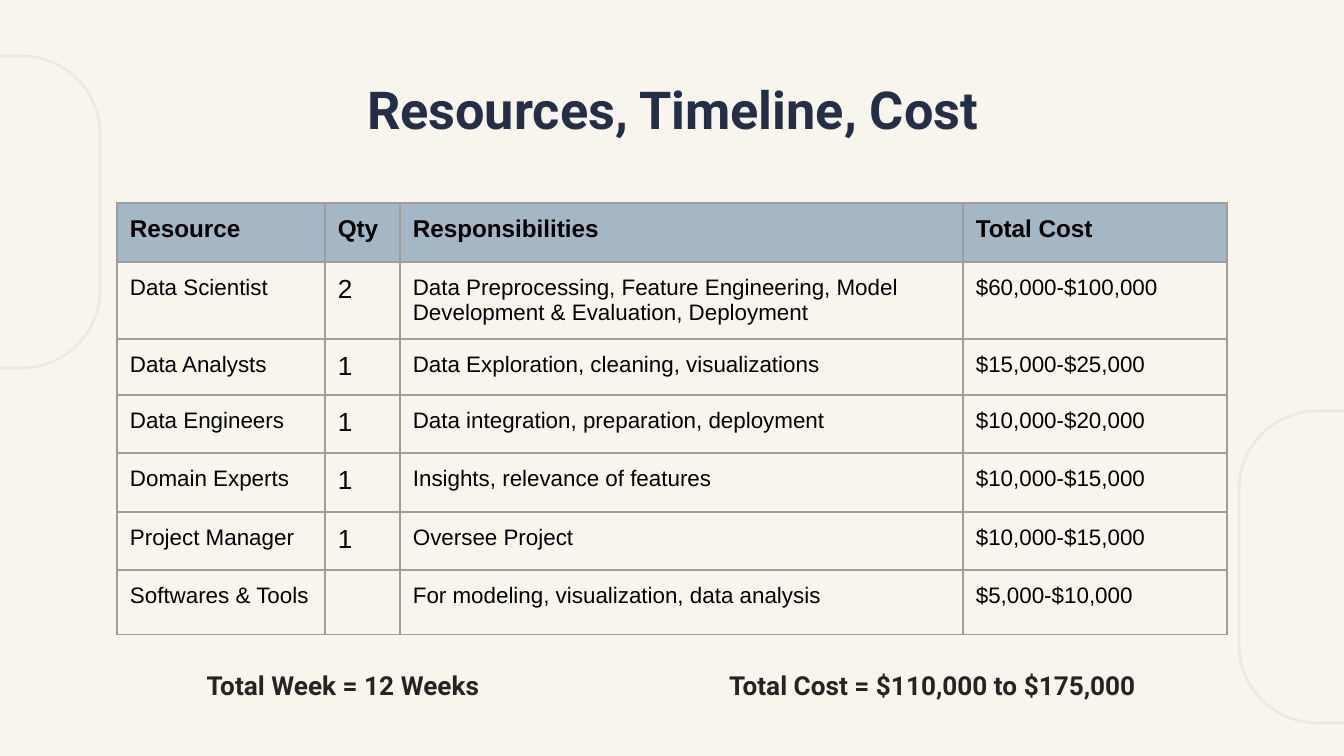
from lxml import etree
from pptx import Presentation
from pptx.dml.color import RGBColor
from pptx.enum.shapes import MSO_SHAPE
from pptx.enum.text import MSO_ANCHOR, MSO_AUTO_SIZE, PP_ALIGN
from pptx.oxml import parse_xml
from pptx.util import Pt

ROUND = MSO_SHAPE.ROUNDED_RECTANGLE
TOP, MIDDLE = MSO_ANCHOR.TOP, MSO_ANCHOR.MIDDLE
CENTER, NO_FIT = PP_ALIGN.CENTER, MSO_AUTO_SIZE.NONE
CREAM = RGBColor(0xF8, 0xF5, 0xEC)
SAND = RGBColor(0xEC, 0xE9, 0xE1)
NAVY = RGBColor(0x25, 0x2E, 0x47)
INK = RGBColor(0x24, 0x24, 0x24)
BLACK = RGBColor(0, 0, 0)
STEEL = RGBColor(0xA5, 0xB7, 0xC5)
GRAY = RGBColor(0x9E, 0x9E, 0x9E)
NS = "http://schemas.openxmlformats.org/drawingml/2006/main"

# Content
TITLE = "Resources, Timeline, Cost"
ROWS = [
    ("Resource", "Qty", "Responsibilities", "Total Cost"),
    ("Data Scientist", "2",
     "Data Preprocessing, Feature Engineering, Model Development & Evaluation, Deployment",
     "$60,000-$100,000"),
    ("Data Analysts", "1", "Data Exploration, cleaning, visualizations", "$15,000-$25,000"),
    ("Data Engineers", "1", "Data integration, preparation, deployment", "$10,000-$20,000"),
    ("Domain Experts", "1", "Insights, relevance of features", "$10,000-$15,000"),
    ("Project Manager", "1", "Oversee Project", "$10,000-$15,000"),
    ("Softwares & Tools", "", "For modeling, visualization, data analysis", "$5,000-$10,000"),
]
NOTES = ["Total Week = 12 Weeks", "Total Cost = $110,000 to $175,000"]

# Layout in px
TITLE_BOX = (106, 66, 1133, 85)
NOTE_BOXES = [(185, 656, 316, 62), (696, 656, 473, 62)]
FRAMES = [(-161, 56, 261, 312), (1239, 411, 261, 312)]
COLS = [208, 75, 563, 264]
HIGHS = [59, 77, 56, 58, 59, 58, 65]
LEFT, HEAD, PAD = 117, 203, 13

# Formats
TITLE_FONT = {"name": "Roboto", "size": Pt(28), "bold": True}
NOTE_FONT = {"name": "Roboto", "size": Pt(14), "bold": True}
HEAD_FONT = {"name": "Arial", "size": Pt(13), "bold": True}
CELL_FONT = {"name": "Arial", "size": Pt(12), "bold": False}
QTY_FONT = {**CELL_FONT, "size": Pt(14)}


def px(n):
    return round(n * 914400 / 134.4)


def style(obj, form):
    for key, val in form.items():
        setattr(obj, key, val)


def pad(obj):
    for side in ("left", "right", "top", "bottom"):
        setattr(obj, "margin_" + side, px(PAD))


def write(frame, text, form, color):
    run = frame.paragraphs[0].add_run()
    run.text = text
    style(run.font, form)
    run.font.color.rgb = color


def fill_box(shape, box, text, form, color, anchor):
    style(shape, dict(zip(("left", "top", "width", "height"), map(px, box))))
    frame = shape.text_frame
    style(frame, {"word_wrap": True, "auto_size": NO_FIT, "vertical_anchor": anchor})
    pad(frame)
    write(frame, text, form, color)
    line = frame.paragraphs[0]
    style(line, {"alignment": CENTER, "space_before": Pt(0), "line_spacing": 1.0})
    props = line._p.get_or_add_pPr()
    style_off = {"marL": "0", "indent": "0"}
    for key, val in style_off.items():
        props.set(key, val)
    etree.SubElement(props, f"{{{NS}}}buNone")


def border(cell):
    props = cell._tc.get_or_add_tcPr()
    for i, side in enumerate("LRTB"):
        props.insert(i, parse_xml(
            f'<a:ln{side} xmlns:a="{NS}" w="{Pt(0.75)}"><a:solidFill>'
            f'<a:srgbClr val="{GRAY}"/></a:solidFill></a:ln{side}>'))


deck = Presentation()
deck.slide_width, deck.slide_height = px(1344), px(756)
slide = deck.slides.add_slide(deck.slide_layouts[3])
slide.background.fill.solid()
slide.background.fill.fore_color.rgb = CREAM

# Side frames
for box in FRAMES:
    frame = slide.shapes.add_shape(ROUND, *map(px, box))
    frame.adjustments[0] = 0.3
    frame.shadow.inherit = False
    frame.fill.background()
    frame.line.color.rgb = SAND
    frame.line.width = Pt(1.5)

# Title and totals
title, *notes = slide.placeholders
fill_box(title, TITLE_BOX, TITLE, TITLE_FONT, NAVY, MIDDLE)
for note, box, text in zip(notes, NOTE_BOXES, NOTES):
    fill_box(note, box, text, NOTE_FONT, INK, TOP)

# Resource table
area = map(px, (LEFT, HEAD, sum(COLS), sum(HIGHS)))
table = slide.shapes.add_table(len(ROWS), len(COLS), *area).table
table.horz_banding = False
for col, wide in zip(table.columns, COLS):
    col.width = px(wide)
for r, row in enumerate(ROWS):
    table.rows[r].height = px(HIGHS[r])
    for c, text in enumerate(row):
        cell = table.cell(r, c)
        if r == 0:
            cell.fill.solid()
            cell.fill.fore_color.rgb = STEEL
        else:
            cell.fill.background()
        border(cell)
        if text:
            pad(cell)
            form = HEAD_FONT if r == 0 else QTY_FONT if c == 1 else CELL_FONT
            write(cell.text_frame, text, form, BLACK)

deck.save("out.pptx")
